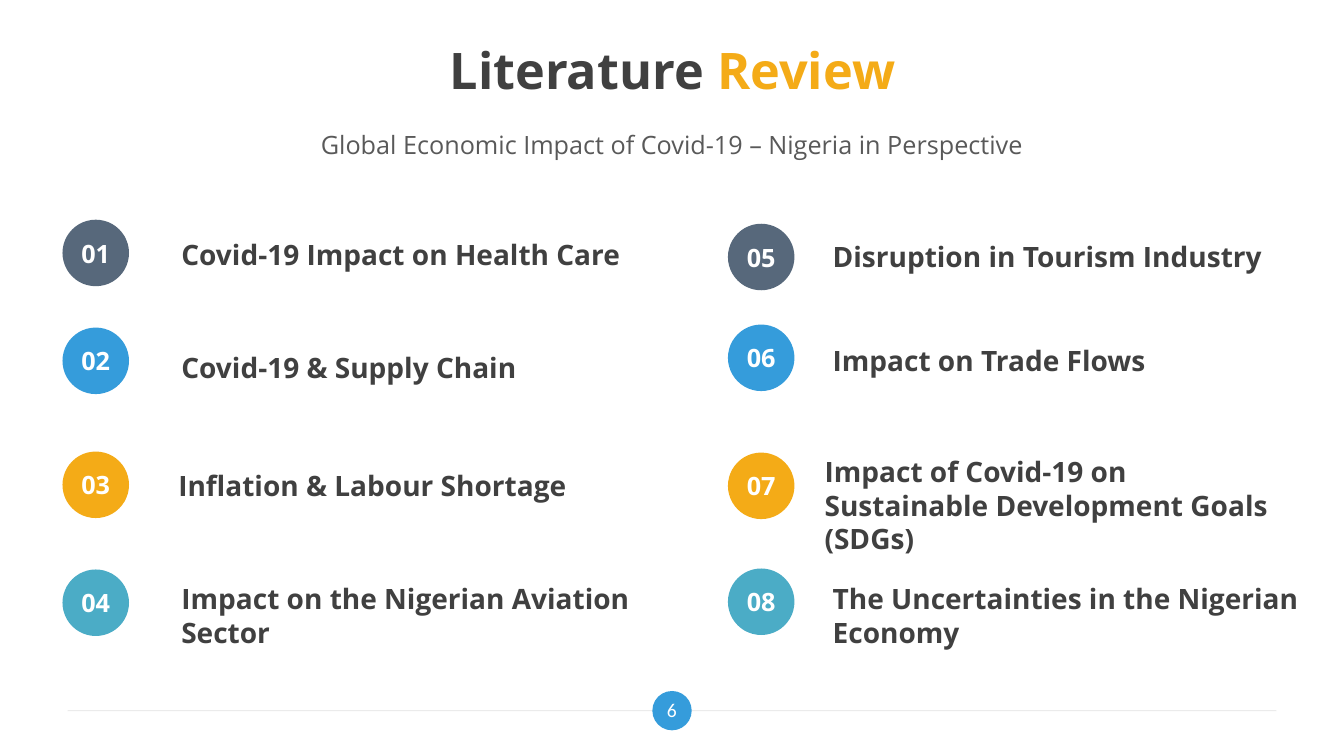
from lxml import etree
from pptx import Presentation
from pptx.dml.color import RGBColor
from pptx.enum.shapes import MSO_CONNECTOR, MSO_SHAPE
from pptx.enum.text import MSO_ANCHOR, PP_ALIGN
from pptx.oxml.ns import qn
from pptx.util import Inches, Pt

CENTER, LEFT = PP_ALIGN.CENTER, PP_ALIGN.LEFT
MIDDLE, TOP = MSO_ANCHOR.MIDDLE, MSO_ANCHOR.TOP
OVAL, STRAIGHT = MSO_SHAPE.OVAL, MSO_CONNECTOR.STRAIGHT

W, H = 13.33, 7.5
FONT = "Open Sans"
COLORS = {
    "dark": "404040", "grey": "595959", "white": "FFFFFF", "rule": "D9D9D9",
    "slate": "57687B", "blue": "359CDB", "amber": "F4AB17", "teal": "4BACC6",
}
ROW_COLORS = ["slate", "blue", "amber", "teal"]
BADGE = 0.66
LABEL_W = 4.88

# Each topic: badge top, label left, label top, label height, text
LEFT_TOPICS = [
    (2.18, 1.7, 2.31, 0.44, "Covid-19 Impact on Health Care"),
    (3.25, 1.7, 3.43, 0.44, "Covid-19 & Supply Chain"),
    (4.48, 1.67, 4.6, 0.44, "Inflation & Labour Shortage"),
    (5.65, 1.7, 5.72, 0.77, "Impact on the Nigerian Aviation Sector"),
]
RIGHT_TOPICS = [
    (2.22, 8.16, 2.33, 0.44, "Disruption in Tourism Industry"),
    (3.22, 8.16, 3.36, 0.44, "Impact on Trade Flows"),
    (4.49, 8.08, 4.46, 1.11,
     "Impact of Covid-19 on Sustainable Development Goals (SDGs)"),
    (5.64, 8.16, 5.72, 0.77, "The Uncertainties in the Nigerian Economy"),
]


def rgb(name):
    return RGBColor.from_string(COLORS[name])


def write(s, runs, size, align=LEFT, anchor=TOP, bold=False, font=FONT,
          inset=(0.1, 0.05)):
    """Fill a shape with one paragraph of (text, colour) runs."""
    tf = s.text_frame
    tf.word_wrap = True
    tf.vertical_anchor = anchor
    tf.margin_left = tf.margin_right = Inches(inset[0])
    tf.margin_top = tf.margin_bottom = Inches(inset[1])
    p = tf.paragraphs[0]
    p.alignment = align
    for text, color in runs:
        r = p.add_run()
        r.text = text
        r.font.name, r.font.size, r.font.bold = font, Pt(size), bold
        r.font.color.rgb = rgb(color)


def add_text(sp, box, runs, size, **style):
    s = sp.add_textbox(*map(Inches, box))
    write(s, runs, size, **style)


def add_circle(sp, left, top, size, color):
    s = sp.add_shape(OVAL, *map(Inches, (left, top, size, size)))
    s.shadow.inherit = False
    s.fill.solid()
    s.fill.fore_color.rgb = rgb(color)
    s.line.fill.background()
    return s


def add_footer(sp, left, right, mid, number):
    line = sp.add_connector(STRAIGHT, *map(Inches, (left, mid, right, mid)))
    line.line.width = Pt(0.75)
    line.line.color.rgb = rgb("rule")
    props = line._element.spPr
    color = props.find(".//" + qn("a:srgbClr"))
    etree.SubElement(color, qn("a:alpha")).set("val", "50000")
    etree.SubElement(props, qn("a:effectLst"))
    disc, w, h = 0.39, 0.56, 0.42
    center = (left + right) / 2
    add_circle(sp, center - disc / 2, mid - disc / 2, disc, "blue")
    add_text(sp, (center - w / 2, mid - h / 2 - 0.01, w, h),
             [(number, "white")], 14, align=CENTER, anchor=MIDDLE,
             font="Calibri", inset=(0.13, 0.07))


def add_heading(sp, left, top, width):
    add_text(sp, (left, top, width, 0.78),
             [("Literature ", "dark"), ("Review", "amber")], 36,
             align=CENTER, anchor=MIDDLE, bold=True, inset=(0.13, 0.07))
    add_text(sp, (left + 1.03, top + 0.93, width - 2.07, 0.4),
             [("Global Economic Impact of Covid-19 – Nigeria in Perspective",
               "grey")], 18, align=CENTER)


def add_topics(sp, left, topics, first):
    """Place a column of numbered badges with a label beside each."""
    rows = zip(topics, ROW_COLORS)
    for number, ((top, x, y, h, text), color) in enumerate(rows, first):
        badge = add_circle(sp, left, top, BADGE, color)
        write(badge, [(f"{number:02d}", "white")], 18, align=CENTER,
              anchor=MIDDLE, bold=True, inset=(0, 0.05))
        add_text(sp, (x, y, LABEL_W, h), [(text, "dark")], 20, bold=True)


def main():
    prs = Presentation()
    prs.slide_width, prs.slide_height = Inches(W), Inches(H)
    sp = prs.slides.add_slide(prs.slide_layouts[6]).shapes
    add_footer(sp, 0.67, 12.66, 7.05, "6")
    add_heading(sp, 0.67, 0.3, 12)
    add_topics(sp, 0.62, LEFT_TOPICS, 1)
    add_topics(sp, 7.22, RIGHT_TOPICS, 5)
    prs.save("out.pptx")


if __name__ == "__main__":
    main()
